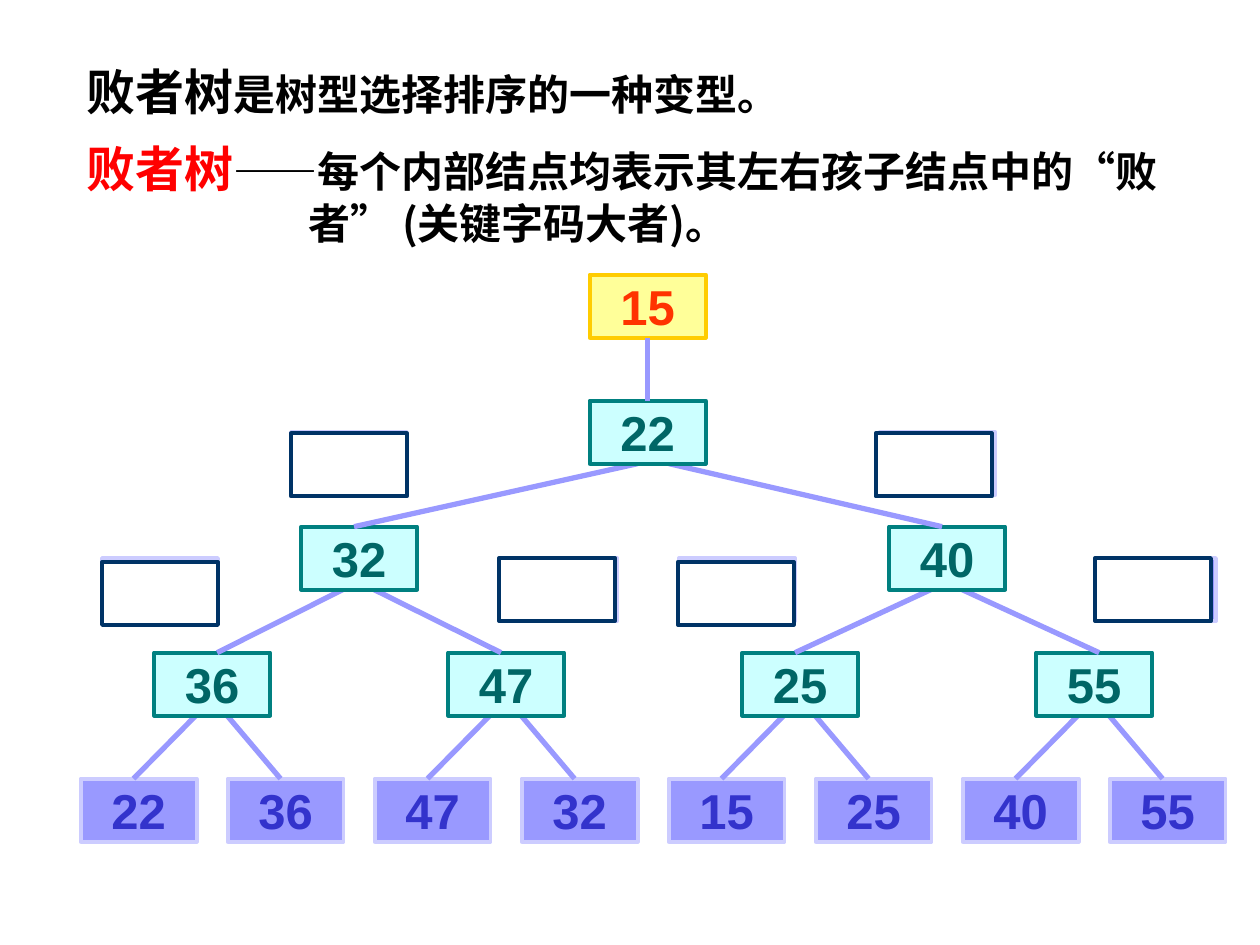
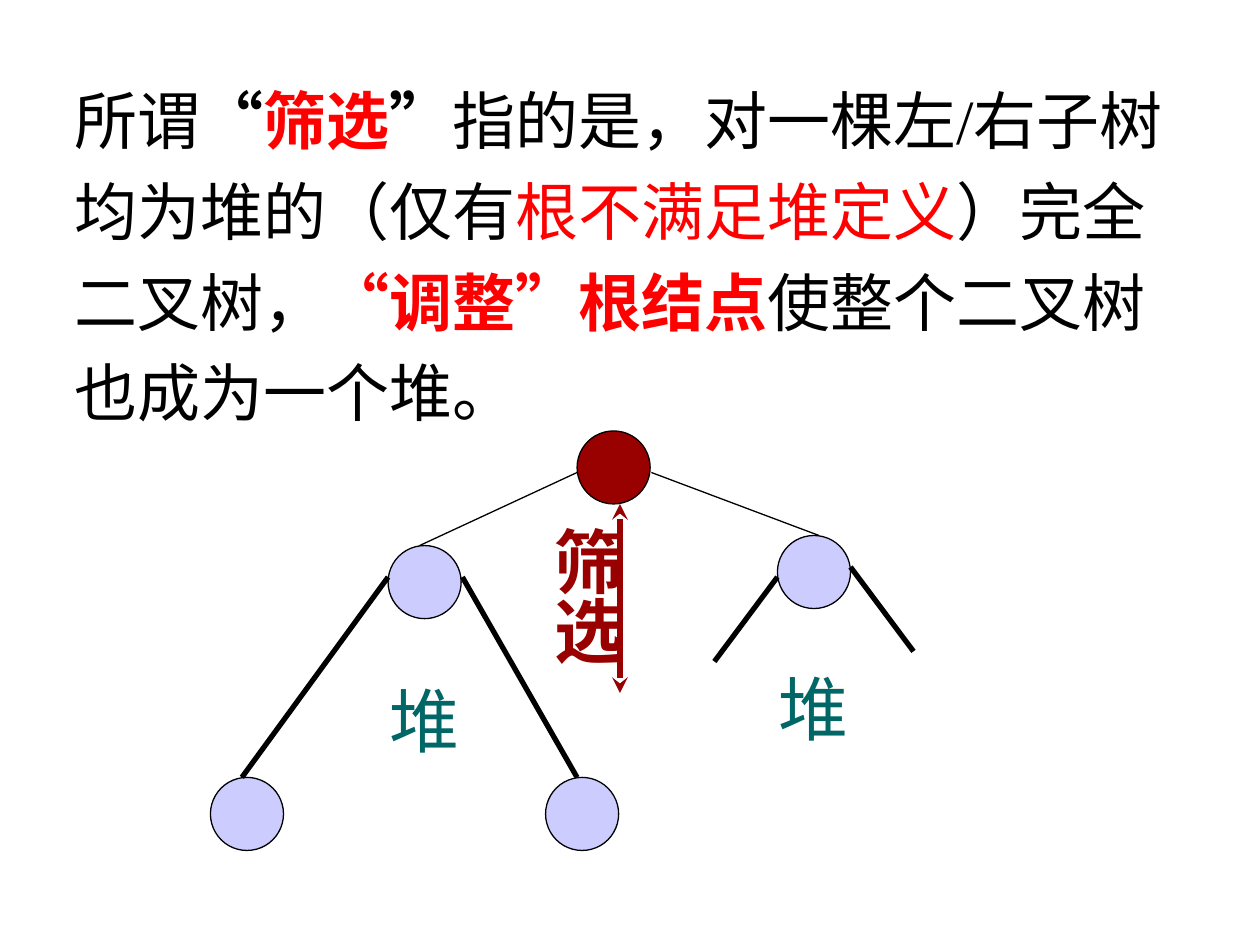
from dataclasses import dataclass

from lxml.etree import SubElement
from pptx import Presentation
from pptx.dml.color import RGBColor
from pptx.enum.lang import MSO_LANGUAGE_ID as LANG
from pptx.enum.shapes import MSO_CONNECTOR, MSO_SHAPE
from pptx.enum.text import MSO_ANCHOR, PP_ALIGN
from pptx.oxml.ns import qn
from pptx.util import Inches, Pt


@dataclass(frozen=True)
class Theme:
    """Colours, fonts and type sizes shared by the slides."""
    black: str = "000000"
    red: str = "FF0000"
    maroon: str = "990000"
    teal: str = "006666"
    branch: str = "9999FF"
    pale: str = "CCCCFF"
    leaf: tuple = ("9999FF", "CCCCFF", "3333CC")
    loser: tuple = ("CCFFFF", "008080", "006666")
    winner: tuple = ("FFFF99", "FFCC00", "FF3300")
    blank: tuple = ("FFFFFF", "003366", "000000")
    sans: str = "Arial"
    serif: str = "Times New Roman"
    cjk: str = "Noto Sans CJK SC"
    text: int = 24
    term: int = 28
    body: int = 36
    label: int = 40


T = Theme()
BOX_W, BOX_H = 0.92, 0.5
DOT = 0.58


@dataclass
class Level:
    """One row of tree boxes and where its branches join, from each box's left."""
    values: list
    lefts: list
    top: float
    colours: tuple
    child_joints: tuple = ()
    parent_joints: tuple = (0.33, 0.58)


def rgb(code):
    """Turn a hex code into a colour."""
    return RGBColor.from_string(code)


def add_run(p, text, size=T.text, color=T.black, font=T.sans, bold=False):
    """Add one formatted run to a paragraph."""
    r = p.add_run()
    r.text = text
    f = r.font
    f.size, f.bold, f.name = Pt(size), bold, font
    f.color.rgb = rgb(color)
    f.language_id = LANG.SIMPLIFIED_CHINESE
    SubElement(r.font._element, qn("a:ea")).set("typeface", T.cjk)


def add_text(s, at, runs, wrap=True, spacing=None, hanging=0, vertical=False):
    """Add a text box with one paragraph of (text, format) runs."""
    tf = s.shapes.add_textbox(*map(Inches, at)).text_frame
    tf.word_wrap = wrap
    if vertical:
        tf._txBody.bodyPr.set("vert", "eaVert")
    p = tf.paragraphs[0]
    if spacing:
        p.line_spacing = spacing
    if hanging:
        pPr = p._p.get_or_add_pPr()
        pPr.set("marL", str(Inches(hanging)))
        pPr.set("indent", str(-Inches(hanging)))
    for text, style in runs:
        add_run(p, text, **style)


def add_solid(s, kind, at, fill, line, width):
    """Add a filled, outlined preset shape without shadow."""
    sp = s.shapes.add_shape(kind, *map(Inches, at))
    sp.shadow.inherit = False
    sp.fill.solid()
    sp.fill.fore_color.rgb = rgb(fill)
    sp.line.color.rgb = rgb(line)
    sp.line.width = Pt(width)
    return sp


def add_box(s, left, top, colours, value=""):
    """Add a tree box, with its key if it has one."""
    fill, line, ink = colours
    sp = add_solid(s, MSO_SHAPE.RECTANGLE, (left, top, BOX_W, BOX_H), fill, line, 2.25)
    if value:
        tf = sp.text_frame
        tf.word_wrap = False
        tf.vertical_anchor = MSO_ANCHOR.MIDDLE
        p = tf.paragraphs[0]
        p.alignment = PP_ALIGN.CENTER
        add_run(p, value, size=T.term, color=ink, bold=True)


def add_dot(s, left, top, fill=T.pale):
    """Add a round heap node."""
    add_solid(s, MSO_SHAPE.OVAL, (left, top, DOT, DOT), fill, T.black, 0.75)


def add_line(s, start, end, color=T.black, width=3, arrows=False):
    """Add a straight line, with an arrowhead at both ends on request."""
    c = s.shapes.add_connector(MSO_CONNECTOR.STRAIGHT, *map(Inches, (*start, *end)))
    c.line.color.rgb = rgb(color)
    c.line.width = Pt(width)
    if arrows:
        ln = c.line._get_or_add_ln()
        for end_tag in ("a:headEnd", "a:tailEnd"):
            SubElement(ln, qn(end_tag)).set("type", "stealth")
    SubElement(c._element.spPr, qn("a:effectLst"))


def midpoints(lefts):
    """Centre each parent over its pair of children."""
    return [(a + b) / 2 for a, b in zip(lefts[::2], lefts[1::2])]


def add_tree(s, levels):
    """Draw the levels from the leaves up, joining each to the one above."""
    for level, above in zip(levels, levels[1:] + [None]):
        for value, left in zip(level.values, level.lefts):
            add_box(s, left, level.top, level.colours, value)
        if above is None:
            return
        for i, left in enumerate(level.lefts):
            child_x = left + level.child_joints[i % len(level.child_joints)]
            parent_x = above.lefts[i // 2] + above.parent_joints[i % 2]
            add_line(s, (child_x, level.top), (parent_x, above.top + BOX_H), T.branch)


def loser_tree_slide(prs):
    """Build the slide that defines the loser tree."""
    s = prs.slides.add_slide(prs.slide_layouts[6])
    leaves = [0.64 + i * 7 / 6 for i in range(8)]
    quarters = midpoints(leaves)
    halves = midpoints(quarters)
    root = 4.68
    add_tree(s, [
        Level(["22", "36", "47", "32", "15", "25", "40", "55"], leaves, 6.18, T.leaf, (0.42,)),
        Level(["36", "47", "25", "55"], quarters, 5.18, T.loser, (0.5, 0.42, 0.42, 0.5)),
        Level(["32", "40"], halves, 4.18, T.loser, (0.42,)),
        Level(["22"], [root], 3.18, T.loser, parent_joints=(0.38, 0.63)),
    ])
    add_box(s, root, 2.18, T.winner, "15")
    add_line(s, (root + BOX_W / 2, 2.68), (root + BOX_W / 2, 3.18), T.branch)

    covers = [((3.98, 4.43), (3.96, 4.43)), ((0.81, 4.43), (0.81, 4.46)),
              ((8.73, 4.43), (8.69, 4.43)), ((5.39, 4.43), (5.38, 4.46)),
              ((2.31, 3.43), (2.31, 3.44)), ((6.98, 3.43), (6.95, 3.44))]
    for back, front in covers:
        add_box(s, *back, T.leaf)
        add_box(s, *front, T.blank)

    bold = dict(bold=True)
    cjk = dict(font=T.cjk, bold=True)
    add_text(s, (0.59, 1.05, 8.9, 0.97), [
        ("败者树", dict(size=T.term, color=T.red, **cjk)),
        ("——", bold),
        ("每个内部结点均表示其左右孩子结点中的", cjk),
        ("“", bold),
        ("败者", cjk),
        ("” ", bold),
        ("(关键字码大者)。", cjk),
    ], hanging=1.76)
    add_text(s, (0.59, 0.44, 5.73, 0.57), [
        ("败者树", dict(size=T.term, **bold)),
        ("是树型选择排序的一种变型。", bold),
    ], wrap=False)


def sifting_slide(prs):
    """Build the slide that explains sifting in a heap."""
    s = prs.slides.add_slide(prs.slide_layouts[6])
    plain = dict(size=T.body, font=T.serif)
    bold = dict(plain, bold=True)
    add_text(s, (0.49, 0.48, 9.18, 2.98), [
        ("所谓", plain),
        ("“", bold),
        ("筛选", dict(bold, color=T.red)),
        ("”", bold),
        ("指的是，对一棵左/右子树均为堆的（仅有", plain),
        ("根不满足堆定义", dict(plain, color=T.red)),
        ("）完全二叉树，", plain),
        ("“调整”根结点", dict(bold, color=T.red)),
        ("使整个二叉树也成为一个堆。", plain),
    ], spacing=1.2)

    add_dot(s, 4.58, 3.42, T.maroon)
    for left, top in [(3.08, 4.33), (6.17, 4.25), (1.67, 6.17), (4.33, 6.17)]:
        add_dot(s, left, top)
    for start, end in [((4.58, 3.75), (3.33, 4.33)), ((5.17, 3.75), (6.5, 4.25))]:
        add_line(s, start, end, width=0.75)
    for start, end in [((3.08, 4.58), (1.92, 6.17)), ((3.67, 4.58), (4.58, 6.17)),
                       ((6.17, 4.58), (5.67, 5.25)), ((6.75, 4.5), (7.25, 5.17))]:
        add_line(s, start, end)

    label = dict(size=T.label, font=T.serif)
    for left, top in [(2.99, 5.33), (6.08, 5.23)]:
        add_text(s, (left, top, 0.76, 0.77), [("堆", dict(label, color=T.teal))], wrap=False)
    add_line(s, (4.92, 4), (4.92, 5.5), T.maroon, arrows=True)
    add_text(s, (4.17, 4.08, 0.87, 1.68),
             [("筛选", dict(label, color=T.maroon, bold=True))], vertical=True)


def main():
    """Build and save the presentation."""
    prs = Presentation()
    prs.slide_width, prs.slide_height = Inches(10), Inches(7.5)
    loser_tree_slide(prs)
    sifting_slide(prs)
    prs.save("out.pptx")


if __name__ == "__main__":
    main()
